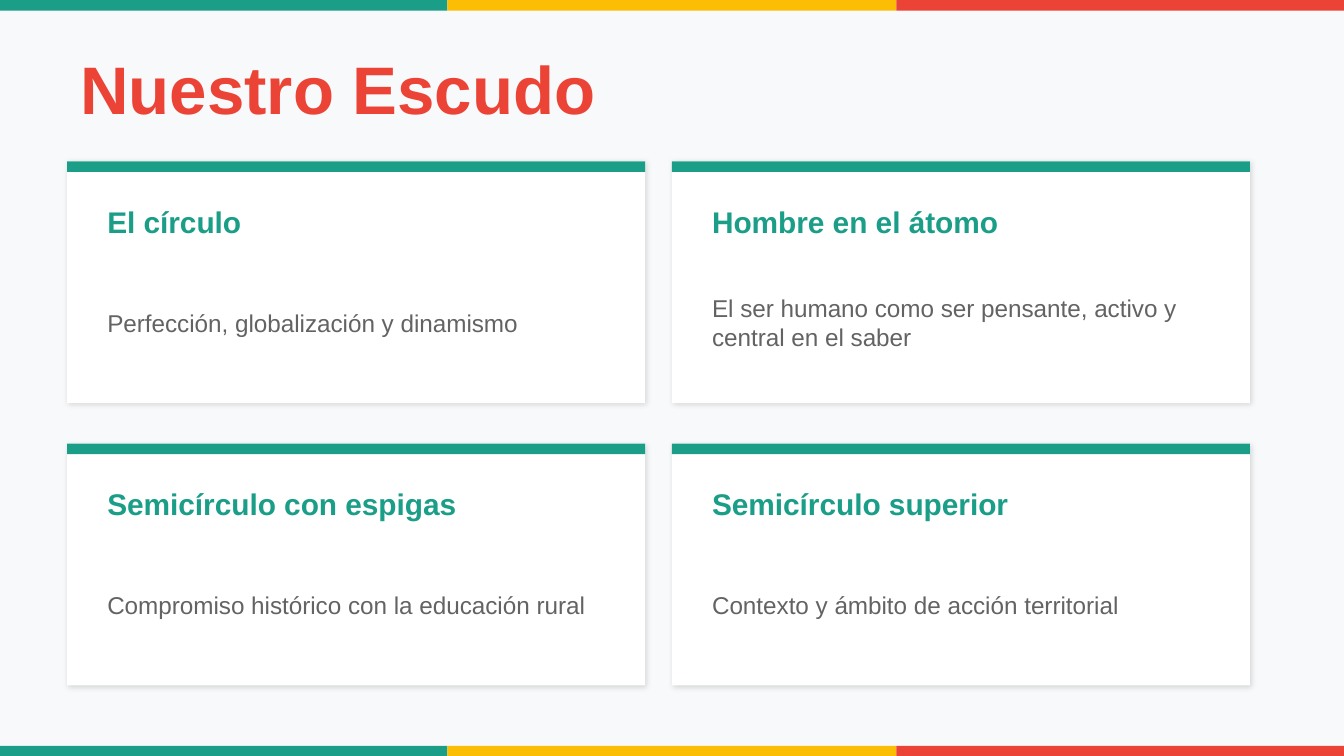
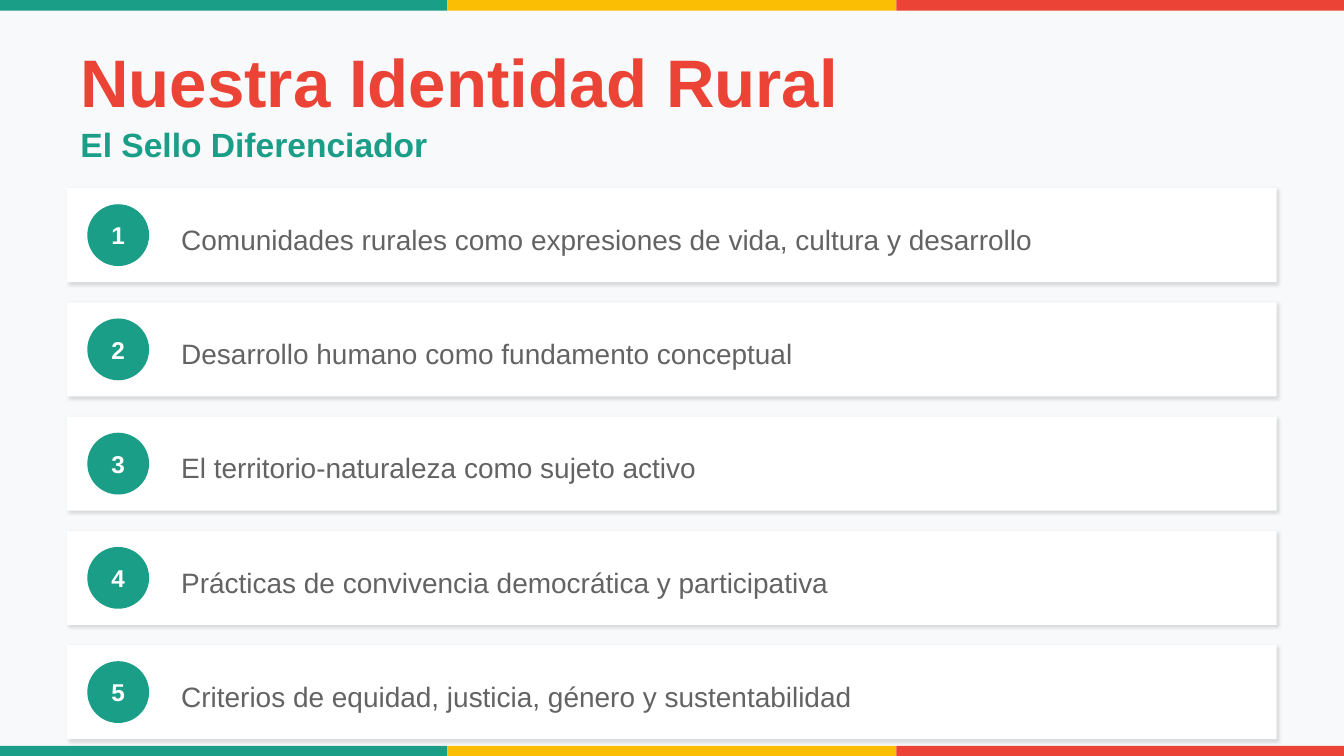
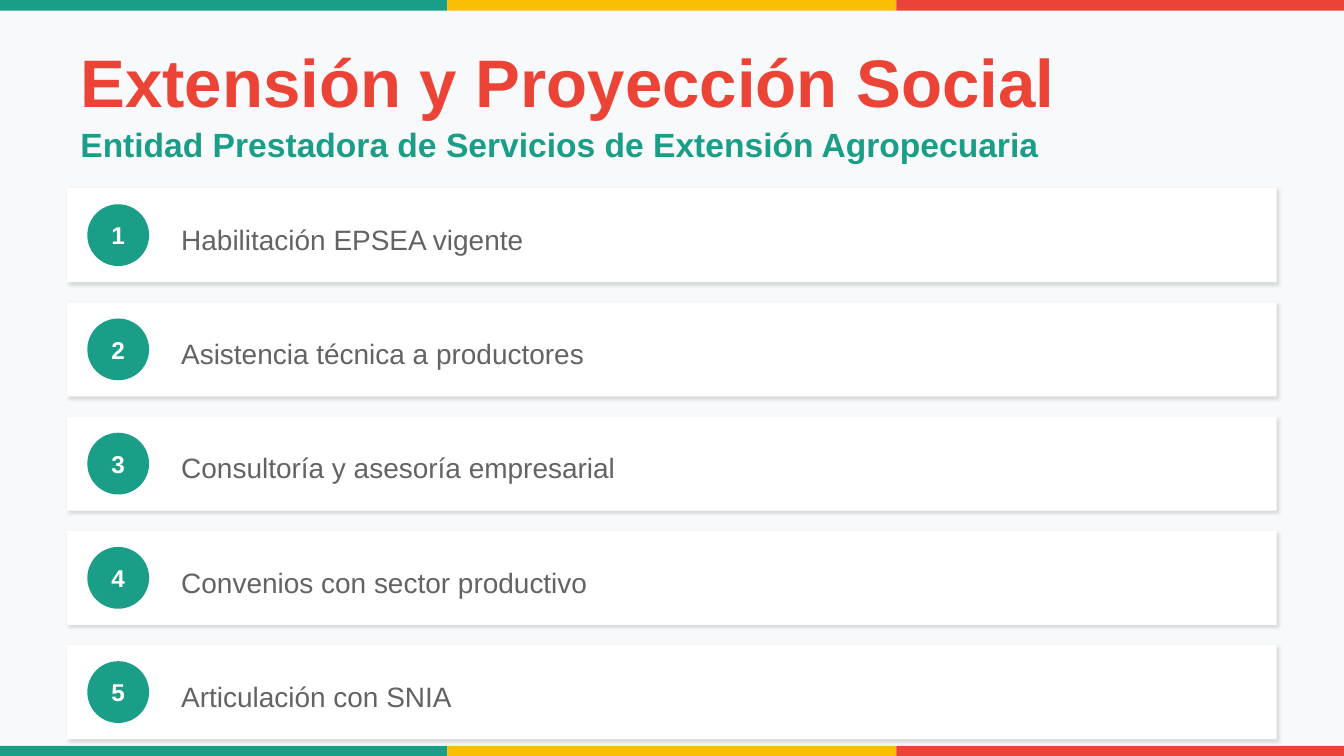
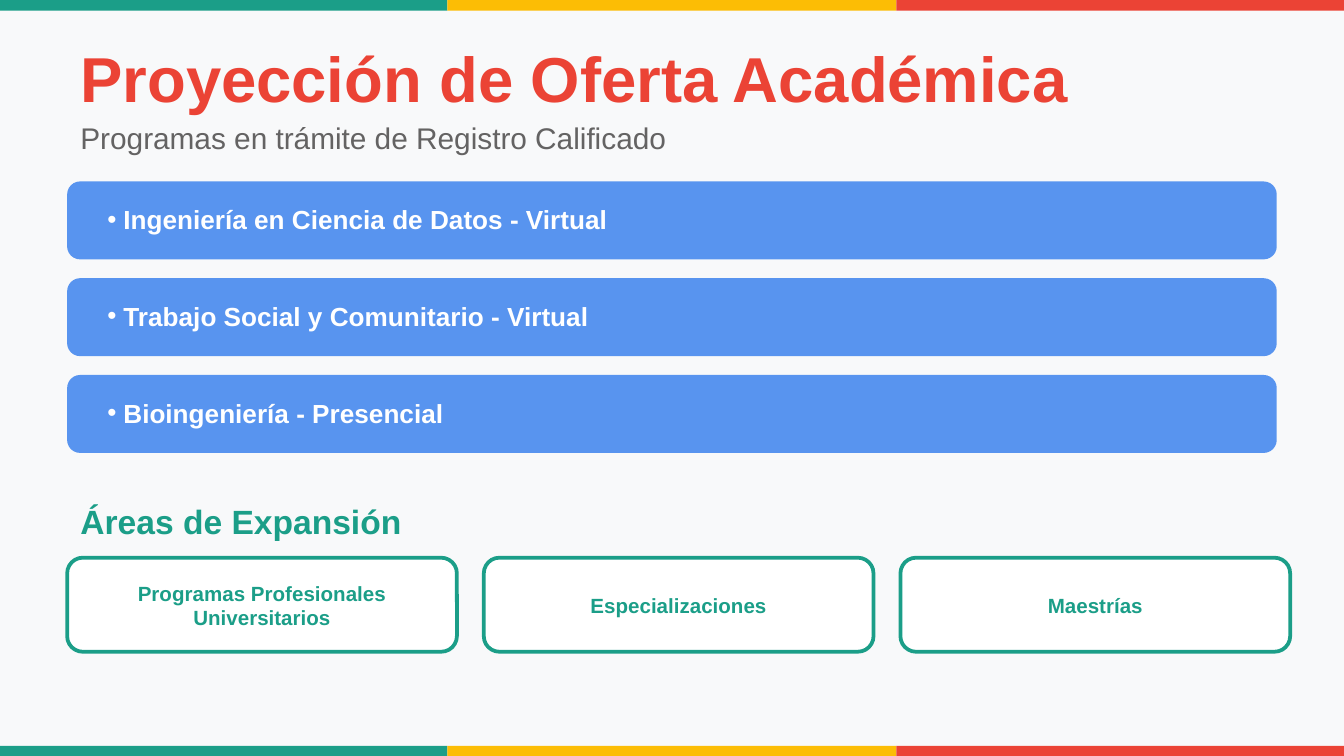
"""Build four slides on the shield, the rural identity, the outreach and the study programmes."""
from dataclasses import dataclass
from itertools import pairwise
from typing import NamedTuple

from lxml.etree import SubElement
from pptx import Presentation
from pptx.dml.color import RGBColor
from pptx.enum.shapes import MSO_SHAPE as Preset
from pptx.enum.text import MSO_ANCHOR as Anchor, PP_ALIGN as Align
from pptx.oxml.ns import qn
from pptx.util import Emu, Inches, Pt

FONT = "Arial"
GREEN, YELLOW, RED, BLUE = "1B9E88", "FCBD05", "EB4335", "5894EF"
GRAY, WHITE, PALE, BLACK = "646363", "FFFFFF", "F8F9FA", "000000"

COLUMNS, ROWS = 100, 56.25
CELL = Inches(0.1)
LEFT, WIDTH = 5, 90
STRIPE = 0.8
BAND_EDGES = (0, 33.3, 66.7, COLUMNS)
BAND_COLORS = (GREEN, YELLOW, RED)


class Area(NamedTuple):
    """Rectangle in grid columns and rows."""
    col: float
    row: float
    cols: float
    rows: float

    def emu(self) -> list[Emu]:
        """Return left, top, width and height in slide units."""
        return [Emu(round(value * CELL)) for value in self]


class Shadow(NamedTuple):
    """Outer shadow with opacity in percent, lengths in points, angle in degrees."""
    opacity: int
    blur: int
    distance: int = 1
    angle: int = 45


@dataclass(frozen=True)
class Card:
    """Part of the shield and its meaning."""
    name: str
    meaning: str


@dataclass(frozen=True)
class ListPage:
    """Page of numbered statements."""
    title: str
    subtitle: str
    items: tuple[str, ...]


CARD_SHADOW = Shadow(15, 3)
ROW_SHADOW = Shadow(12, 2)

SHIELD = (
    Card("El círculo", "Perfección, globalización y dinamismo"),
    Card("Hombre en el átomo", "El ser humano como ser pensante, activo y central en el saber"),
    Card("Semicírculo con espigas", "Compromiso histórico con la educación rural"),
    Card("Semicírculo superior", "Contexto y ámbito de acción territorial"),
)

IDENTITY = ListPage("Nuestra Identidad Rural", "El Sello Diferenciador", (
    "Comunidades rurales como expresiones de vida, cultura y desarrollo",
    "Desarrollo humano como fundamento conceptual",
    "El territorio-naturaleza como sujeto activo",
    "Prácticas de convivencia democrática y participativa",
    "Criterios de equidad, justicia, género y sustentabilidad",
))

OUTREACH = ListPage(
    "Extensión y Proyección Social",
    "Entidad Prestadora de Servicios de Extensión Agropecuaria", (
        "Habilitación EPSEA vigente",
        "Asistencia técnica a productores",
        "Consultoría y asesoría empresarial",
        "Convenios con sector productivo",
        "Articulación con SNIA",
    ))

PROGRAMMES = (
    "Ingeniería en Ciencia de Datos - Virtual",
    "Trabajo Social y Comunitario - Virtual",
    "Bioingeniería - Presencial",
)
EXPANSION = ("Programas Profesionales Universitarios", "Especializaciones", "Maestrías")


def rgb(color: str) -> RGBColor:
    """Turn a hex string into a colour."""
    return RGBColor.from_string(color)


def add_shadow(shape, shadow: Shadow) -> None:
    """Give a shape a soft outer shadow."""
    effects = shape._element.spPr.find(qn("a:effectLst"))
    outer = SubElement(effects, qn("a:outerShdw"), blurRad=str(Pt(shadow.blur)),
                       dist=str(Pt(shadow.distance)), dir=str(shadow.angle * 60000),
                       algn="bl", rotWithShape="0")
    tint = SubElement(outer, qn("a:srgbClr"), val=BLACK)
    SubElement(tint, qn("a:alpha"), val=str(shadow.opacity * 1000))


def add_block(page, area: Area, fill: str, preset: Preset = Preset.RECTANGLE,
              line: str | None = None, shadow: Shadow | None = None) -> None:
    """Draw a filled preset shape."""
    shape = page.shapes.add_shape(preset, *area.emu())
    shape.shadow.inherit = False
    shape.fill.solid()
    shape.fill.fore_color.rgb = rgb(fill)
    if line:
        shape.line.color.rgb = rgb(line)
        shape.line.width = Pt(2)
    else:
        shape.line.fill.background()
    if shadow:
        add_shadow(shape, shadow)


def add_text(page, area: Area, text: str, *, size: int, color: str, bold: bool = False,
             align: Align = Align.LEFT, bullet: bool = False) -> None:
    """Place one paragraph, centred vertically in its area."""
    box = page.shapes.add_textbox(*area.emu())
    frame = box.text_frame
    frame.word_wrap = True
    frame.vertical_anchor = Anchor.MIDDLE
    para = frame.paragraphs[0]
    para.alignment = align
    if bullet:
        settings = para._p.get_or_add_pPr()
        indent = Inches(0.12)
        settings.set("marL", str(indent))
        settings.set("indent", str(-indent))
        SubElement(settings, qn("a:buFont"), typeface=FONT)
        SubElement(settings, qn("a:buChar"), char="•")
    span = para.add_run()
    span.text = text
    span.font.name = FONT
    span.font.size = Pt(size)
    span.font.bold = bold
    span.font.color.rgb = rgb(color)


def add_page(deck, title: str, title_rows: float, title_size: int = 36):
    """Add a page with its background, colour bands and title."""
    page = deck.slides.add_slide(deck.slide_layouts[6])
    page.background.fill.solid()
    page.background.fill.fore_color.rgb = rgb(PALE)
    for row in (0, 55.5):
        for (start, end), color in zip(pairwise(BAND_EDGES), BAND_COLORS):
            add_block(page, Area(start, row, end - start, STRIPE), color)
    add_text(page, Area(LEFT, 3, WIDTH, title_rows), title,
             size=title_size, color=RED, bold=True)
    return page


def build_shield_page(deck) -> None:
    """Lay out the shield cards in two columns."""
    page = add_page(deck, "Nuestro Escudo", 7)
    for index, card in enumerate(SHIELD):
        line, place = divmod(index, 2)
        col, row = LEFT + 45 * place, 12 + 21 * line
        add_block(page, Area(col, row, 43, 18), WHITE, shadow=CARD_SHADOW)
        add_block(page, Area(col, row, 43, STRIPE), GREEN)
        add_text(page, Area(col + 2, row + 2, 40, 5), card.name,
                 size=16, color=GREEN, bold=True)
        add_text(page, Area(col + 2, row + 7.5, 40, 9), card.meaning, size=13, color=GRAY)


def build_list_page(deck, content: ListPage) -> None:
    """Lay out numbered statements from top to bottom."""
    page = add_page(deck, content.title, 6)
    add_text(page, Area(LEFT, 9, WIDTH, 3.5), content.subtitle,
             size=18, color=GREEN, bold=True)
    for index, item in enumerate(content.items):
        row = 14 + 8.5 * index
        add_block(page, Area(LEFT, row, WIDTH, 7), WHITE, shadow=ROW_SHADOW)
        add_block(page, Area(6.5, row + 1.2, 4.6, 4.6), GREEN, Preset.OVAL)
        add_text(page, Area(6.5, row + 1.5, 4.6, 4), str(index + 1),
                 size=13, color=WHITE, bold=True, align=Align.CENTER)
        add_text(page, Area(12.5, row + 1.8, 80, 4), item, size=15, color=GRAY)


def build_programmes_page(deck) -> None:
    """Lay out programme bars above the expansion areas."""
    page = add_page(deck, "Proyección de Oferta Académica", 5.5, title_size=34)
    add_text(page, Area(LEFT, 8.5, WIDTH, 3.5), "Programas en trámite de Registro Calificado",
             size=16, color=GRAY)
    for index, programme in enumerate(PROGRAMMES):
        row = 13.5 + 7.2 * index
        add_block(page, Area(LEFT, row, WIDTH, 5.8), BLUE, Preset.ROUNDED_RECTANGLE)
        add_text(page, Area(LEFT + 2, row + 0.8, 85, 4), programme,
                 size=14, color=WHITE, bold=True, bullet=True)
    add_text(page, Area(LEFT, 37, WIDTH, 3.5), "Áreas de Expansión",
             size=18, color=GREEN, bold=True)
    for index, field in enumerate(EXPANSION):
        col = LEFT + 31 * index
        add_block(page, Area(col, 41.5, 29, 7), WHITE, Preset.ROUNDED_RECTANGLE, line=GREEN)
        add_text(page, Area(col, 42.8, 29, 4.5), field,
                 size=11, color=GREEN, bold=True, align=Align.CENTER)


def main() -> None:
    """Build and save the deck."""
    deck = Presentation()
    deck.slide_width = Emu(round(COLUMNS * CELL))
    deck.slide_height = Emu(round(ROWS * CELL))
    build_shield_page(deck)
    for content in (IDENTITY, OUTREACH):
        build_list_page(deck, content)
    build_programmes_page(deck)
    deck.save("out.pptx")


if __name__ == "__main__":
    main()
